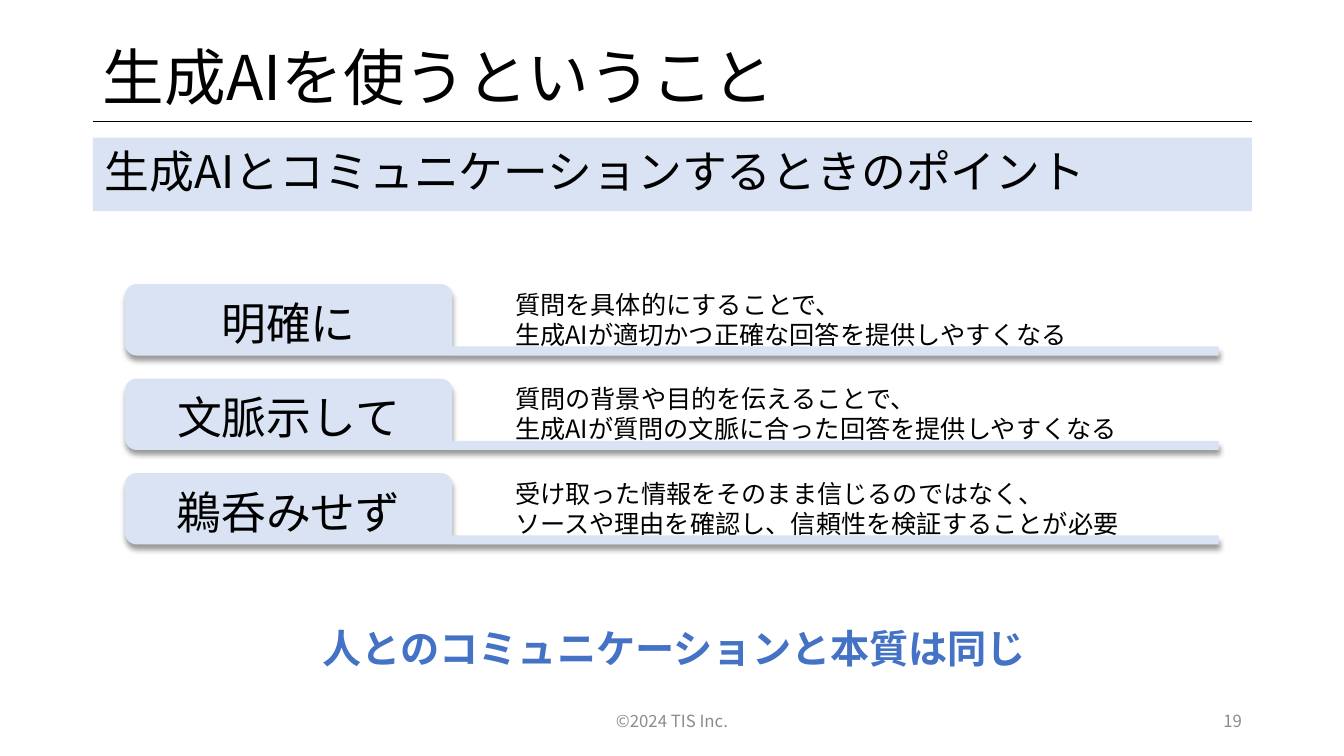
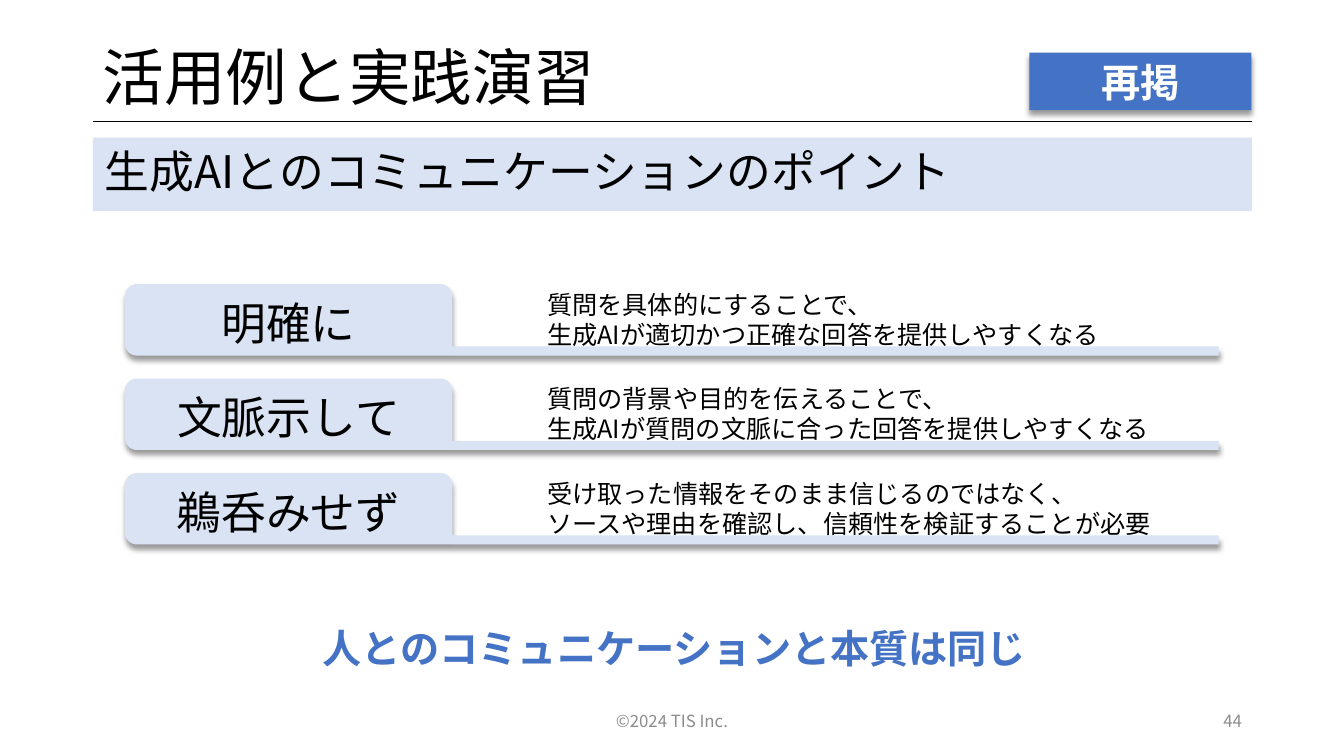
import math

import pptx
import pptx.dml.color
import pptx.enum.shapes
import pptx.enum.text
import pptx.oxml
import pptx.oxml.ns
import pptx.util
from pptx.util import Cm, Pt

ALIGN = pptx.enum.text.PP_ALIGN
ANCHOR = pptx.enum.text.MSO_ANCHOR
RECT = pptx.enum.shapes.MSO_SHAPE.RECTANGLE

FONT = "Noto Sans CJK JP"
COLORS = {"text": "000000", "pale": "DAE3F3", "accent": "4472C4",
          "footer": "8C8C8C", "white": "FFFFFF"}

SLIDES = [
    {"title": "生成AIを使うということ",
     "subtitle": "生成AIとコミュニケーションするときのポイント",
     "number": 19, "detail_x": 12.73, "detail_w": 18.85},
    {"title": "活用例と実践演習",
     "subtitle": "生成AIとのコミュニケーションのポイント",
     "number": 44, "detail_x": 13.54, "detail_w": 17.2, "badge": "再掲"},
]
POINTS = [
    ("明確に", ["質問を具体的にすることで、",
             "生成AIが適切かつ正確な回答を提供しやすくなる"]),
    ("文脈示して", ["質問の背景や目的を伝えることで、",
               "生成AIが質問の文脈に合った回答を提供しやすくなる"]),
    ("鵜呑みせず", ["受け取った情報をそのまま信じるのではなく、",
               "ソースや理由を確認し、信頼性を検証することが必要"]),
]
CONCLUSION = "人とのコミュニケーションと本質は同じ"
COPYRIGHT = "©2024 TIS Inc."

# Shared geometry in centimetres
LEFT, WIDTH = 2.34, 29.21
TAB_X, TAB_W, TAB_H = 3.15, 8.25, 1.8
ROW_Y, ROW_PITCH, ROW_W = 7.16, 2.38, 27.56
BAR_H, RADIUS = 0.23, 0.3


def rgb(name):
    return pptx.dml.color.RGBColor.from_string(COLORS[name])


def write(sp, lines, size=18, color="text", bold=False, align=ALIGN.LEFT,
          anchor=ANCHOR.MIDDLE, spacing=1.0):
    tf = sp.text_frame
    tf.word_wrap = True
    tf.vertical_anchor = anchor
    for i, line in enumerate([lines] if isinstance(lines, str) else lines):
        p = tf.paragraphs[0] if i == 0 else tf.add_paragraph()
        p.alignment = align
        p.line_spacing = spacing
        r = p.add_run()
        r.text = line
        r.font.name = FONT
        r.font.size = Pt(size)
        r.font.bold = bold
        r.font.color.rgb = rgb(color)
        ea = pptx.oxml.parse_xml(
            f'<a:ea {pptx.oxml.ns.nsdecls("a")} typeface="{FONT}"/>')
        r.font._element.append(ea)


def add_text(s, box, lines, **style):
    write(s.shapes.add_textbox(*map(Cm, box)), lines, **style)


def paint(sp, color, shadow=False):
    sp.fill.solid()
    sp.fill.fore_color.rgb = rgb(color)
    sp.line.fill.background()
    sp.shadow.inherit = False
    if shadow:
        effects = sp._element.spPr.find(pptx.oxml.ns.qn("a:effectLst"))
        effects.append(pptx.oxml.parse_xml(
            f'<a:outerShdw {pptx.oxml.ns.nsdecls("a")} blurRad="{Pt(4)}" '
            f'dist="{Pt(3)}" dir="5400000" algn="t" rotWithShape="0">'
            '<a:srgbClr val="000000"><a:alpha val="40000"/></a:srgbClr>'
            '</a:outerShdw>'))


def add_rect(s, box, color, shadow=False):
    sp = s.shapes.add_shape(RECT, *map(Cm, box))
    paint(sp, color, shadow)
    return sp


def corner(cx, cy, start):
    """Points of a clockwise quarter circle from the start angle in degrees."""
    angles = [math.radians(start + step) for step in range(0, 91, 10)]
    return [(cx + RADIUS * math.cos(a), cy + RADIUS * math.sin(a))
            for a in angles]


def add_tab(s, y):
    """Rounded tab whose base runs on as a thin bar to the right."""
    left, right, bottom = TAB_X, TAB_X + TAB_W, y + TAB_H
    end = left + ROW_W
    outline = [
        *corner(left + RADIUS, y + RADIUS, 180),
        *corner(right - RADIUS, y + RADIUS, 270),
        (right, bottom - BAR_H), (end, bottom - BAR_H), (end, bottom),
        *corner(left + RADIUS, bottom - RADIUS, 90),
    ]
    points = [(Cm(px), Cm(py)) for px, py in outline]
    builder = s.shapes.build_freeform(*points[0], scale=1.0)
    builder.add_line_segments(points[1:], close=True)
    paint(builder.convert_to_shape(), "pale", shadow=True)


def add_frame(s, title, subtitle, number):
    """Title, rule, subtitle band and footer."""
    rule = s.shapes.add_connector(
        pptx.enum.shapes.MSO_CONNECTOR.STRAIGHT,
        Cm(LEFT), Cm(3.06), Cm(LEFT + WIDTH), Cm(3.06))
    rule.line.color.rgb = rgb("text")
    rule.line.width = Pt(0.5)
    rule._element.spPr.append(pptx.oxml.parse_xml(
        f'<a:effectLst {pptx.oxml.ns.nsdecls("a")}/>'))
    band = add_rect(s, (LEFT, 3.47, WIDTH, 1.85), "pale")
    band.text_frame.margin_left = Cm(0.3)
    write(band, subtitle, size=32, spacing=0.9)
    add_text(s, (LEFT, 1.02, WIDTH, 2.03), title, size=44, spacing=0.9)
    footer = {"size": 12, "color": "footer"}
    add_text(s, (11.22, 17.66, 11.43, 1.02), COPYRIGHT,
             align=ALIGN.CENTER, **footer)
    add_text(s, (23.93, 17.66, 7.62, 1.02), str(number),
             align=ALIGN.RIGHT, **footer)


def add_points(s, detail_x, detail_w):
    for i, (label, detail) in enumerate(POINTS):
        y = ROW_Y + i * ROW_PITCH
        add_tab(s, y)
        add_text(s, (TAB_X, y, TAB_W, TAB_H), label, size=32,
                 align=ALIGN.CENTER, spacing=1.1)
        add_text(s, (detail_x, y, detail_w, TAB_H), detail,
                 anchor=ANCHOR.TOP)
    add_text(s, (2.39, 15.47, WIDTH, 1.85), CONCLUSION, size=28, bold=True,
             color="accent", align=ALIGN.CENTER, spacing=0.9)


def main():
    prs = pptx.Presentation()
    prs.slide_width, prs.slide_height = Cm(33.87), Cm(19.05)
    for page in SLIDES:
        s = prs.slides.add_slide(prs.slide_layouts[6])
        add_frame(s, page["title"], page["subtitle"], page["number"])
        add_points(s, page["detail_x"], page["detail_w"])
        if "badge" in page:
            badge = add_rect(s, (25.94, 1.33, 5.6, 1.45), "accent", shadow=True)
            write(badge, page["badge"], size=28, bold=True, color="white",
                  align=ALIGN.CENTER)
    prs.save("out.pptx")


if __name__ == "__main__":
    main()
